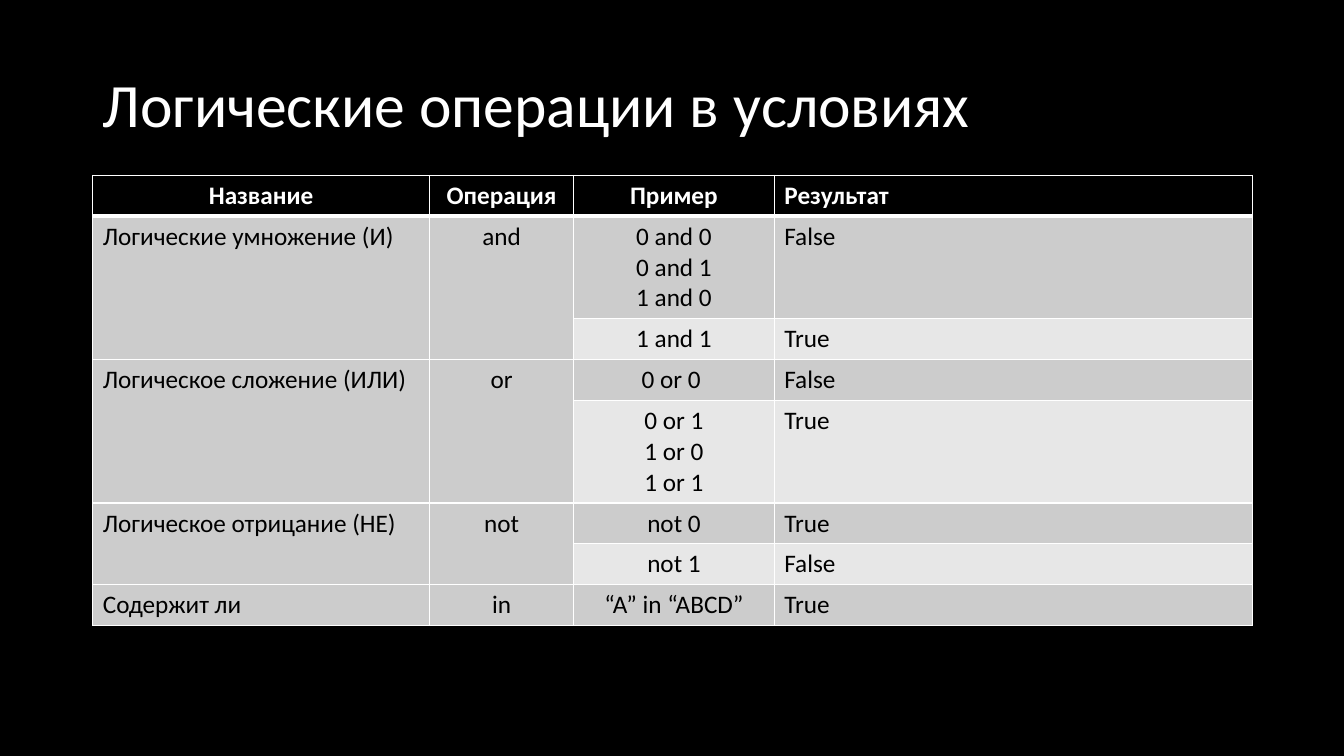
"""Build a slide with a table of logical operations used in conditions."""
from dataclasses import dataclass

from lxml import etree
from pptx import Presentation
from pptx.dml.color import RGBColor
from pptx.enum.text import MSO_ANCHOR, MSO_AUTO_SIZE, PP_ALIGN
from pptx.oxml.ns import qn
from pptx.slide import Slide
from pptx.table import Table, _Cell
from pptx.text.text import _Paragraph
from pptx.util import Inches, Pt

LEFT, CENTER = PP_ALIGN.LEFT, PP_ALIGN.CENTER
MIDDLE = MSO_ANCHOR.MIDDLE
NO_AUTOFIT = MSO_AUTO_SIZE.NONE

SLIDE_WIDTH, SLIDE_HEIGHT = Inches(13.33), Inches(7.5)
MARGIN = Inches(0.92)
CONTENT_WIDTH = Inches(11.5)
TITLE_TOP, TITLE_HEIGHT = Inches(0.4), Inches(1.34)
TABLE_TOP = TITLE_TOP + TITLE_HEIGHT
ROW_HEIGHT, EXTRA_LINE = Pt(29.2), Pt(22)
BLACK, WHITE = "000000", "FFFFFF"
BANDS = ("CCCCCC", "E7E7E7")
THIN, THICK = Pt(1), Pt(3)


@dataclass(frozen=True)
class Column:
    heading: str
    width: float
    align: PP_ALIGN


@dataclass(frozen=True)
class Case:
    example: str
    result: str


@dataclass(frozen=True)
class Operation:
    name: str
    keyword: str
    cases: tuple[Case, ...]


COLUMNS = (
    Column("Название", 3.34, LEFT),
    Column("Операция", 1.43, CENTER),
    Column("Пример", 1.99, CENTER),
    Column("Результат", 4.74, LEFT),
)
OPERATIONS = (
    Operation("Логические умножение (И)", "and", (
        Case("0 and 0\n0 and 1\n1 and 0", "False"), Case("1 and 1", "True"))),
    Operation("Логическое сложение (ИЛИ)", "or", (
        Case("0 or 0 ", "False"), Case("0 or 1\n1 or 0\n1 or 1", "True"))),
    Operation("Логическое отрицание (НЕ)", "not", (
        Case("not 0", "True"), Case("not 1", "False"))),
    Operation("Содержит ли", "in", (Case("“A” in “ABCD”", "True"),)),
)


def color(value: str) -> RGBColor:
    return RGBColor.from_string(value)


def apply(target: object, values: dict[str, object]) -> None:
    for name, value in values.items():
        setattr(target, name, value)


def write(paragraph: _Paragraph, text: str, size: int, ink: str,
          align: PP_ALIGN, bold: bool = False) -> None:
    paragraph.text = text
    paragraph.alignment = align
    for run in paragraph.runs:
        apply(run.font, {"name": "Calibri", "size": Pt(size), "bold": bold})
        run.font.color.rgb = color(ink)


def draw_borders(cell: _Cell, top: int, bottom: int) -> None:
    properties = cell._tc.get_or_add_tcPr()
    widths = {"a:lnL": THIN, "a:lnR": THIN, "a:lnT": top, "a:lnB": bottom}
    for side, width in widths.items():
        line = etree.SubElement(properties, qn(side), w=str(int(width)))
        fill = etree.SubElement(line, qn("a:solidFill"))
        etree.SubElement(fill, qn("a:srgbClr"), val=WHITE)


def style_cell(cell: _Cell, fill: str, top: int = THIN, bottom: int = THIN) -> None:
    draw_borders(cell, top, bottom)
    cell.fill.solid()
    cell.fill.fore_color.rgb = color(fill)


def add_title(slide: Slide, text: str) -> None:
    title = slide.shapes.title
    apply(title, {"left": MARGIN, "top": TITLE_TOP,
                  "width": CONTENT_WIDTH, "height": TITLE_HEIGHT})
    apply(title.text_frame, {"vertical_anchor": MIDDLE, "word_wrap": True,
                             "auto_size": NO_AUTOFIT})
    heading = title.text_frame.paragraphs[0]
    write(heading, text, 44, WHITE, LEFT)
    heading.line_spacing = 0.9


def fill_header(table: Table) -> None:
    for index, column in enumerate(COLUMNS):
        cell = table.cell(0, index)
        style_cell(cell, BLACK, bottom=THICK)
        align = LEFT if column is COLUMNS[-1] else CENTER
        write(cell.text_frame.paragraphs[0], column.heading, 18, WHITE, align, True)


def fill_operation(table: Table, operation: Operation, first_row: int) -> None:
    for offset, case in enumerate(operation.cases):
        row = first_row + offset
        table.rows[row].height = ROW_HEIGHT + EXTRA_LINE * case.example.count("\n")
        labels = ("", "") if offset else (operation.name, operation.keyword)
        texts = (*labels, case.example, case.result)
        for index, (column, text) in enumerate(zip(COLUMNS, texts)):
            cell = table.cell(row, index)
            band = BANDS[0] if index < len(labels) else BANDS[offset]
            style_cell(cell, band, top=THICK if row == 1 else THIN)
            write(cell.text_frame.paragraphs[0], text, 18, BLACK, column.align)
    if len(operation.cases) > 1:
        last_row = first_row + len(operation.cases) - 1
        for index in range(2):
            table.cell(first_row, index).merge(table.cell(last_row, index))


def add_operations_table(slide: Slide) -> None:
    row_count = 1 + sum(len(operation.cases) for operation in OPERATIONS)
    table = slide.shapes.add_table(row_count, len(COLUMNS), MARGIN, TABLE_TOP,
                                   CONTENT_WIDTH, ROW_HEIGHT * row_count).table
    table.horz_banding = False
    total = sum(column.width for column in COLUMNS)
    for grid_column, column in zip(table.columns, COLUMNS):
        grid_column.width = int(CONTENT_WIDTH * column.width / total)
    fill_header(table)
    row = 1
    for operation in OPERATIONS:
        fill_operation(table, operation, row)
        row += len(operation.cases)


def main() -> None:
    presentation = Presentation()
    apply(presentation, {"slide_width": SLIDE_WIDTH, "slide_height": SLIDE_HEIGHT})
    slide = presentation.slides.add_slide(
        presentation.slide_layouts.get_by_name("Title Only"))
    slide.background.fill.solid()
    slide.background.fill.fore_color.rgb = color(BLACK)
    add_title(slide, "Логические операции в условиях")
    add_operations_table(slide)
    presentation.save("out.pptx")


if __name__ == "__main__":
    main()
